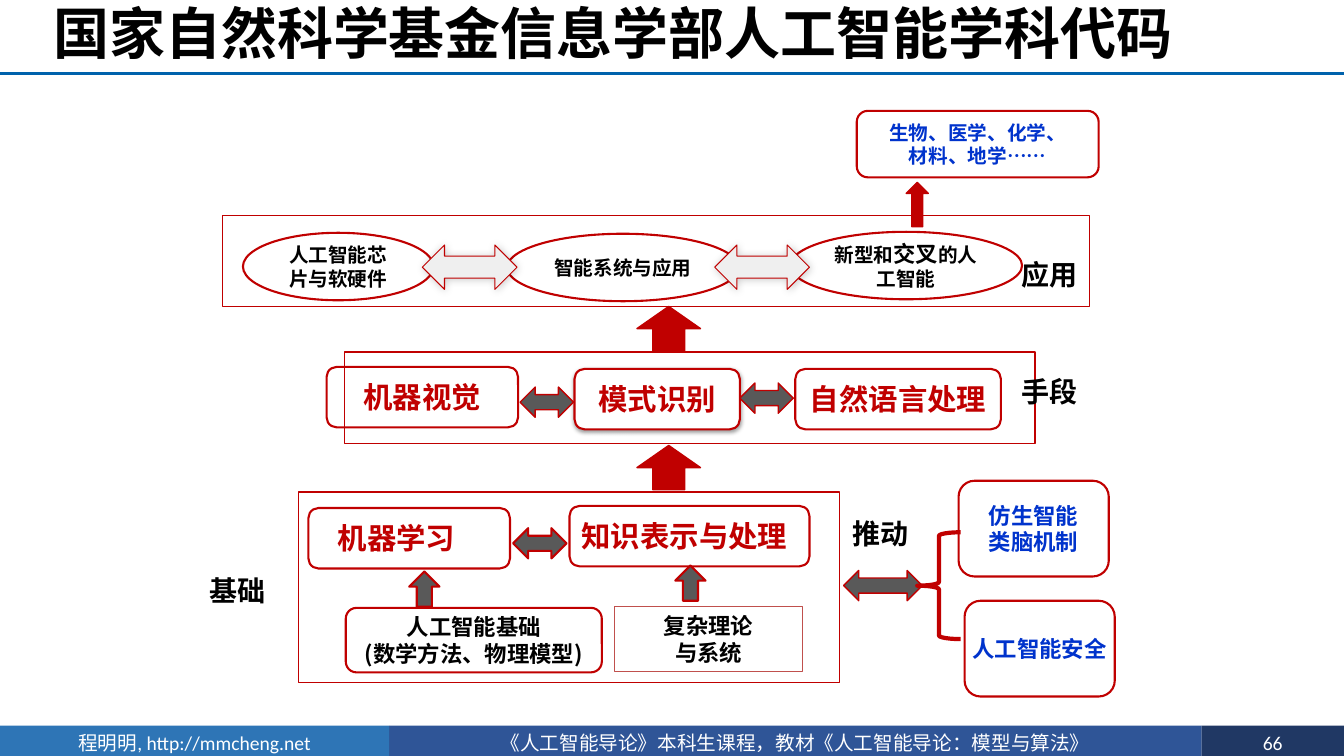
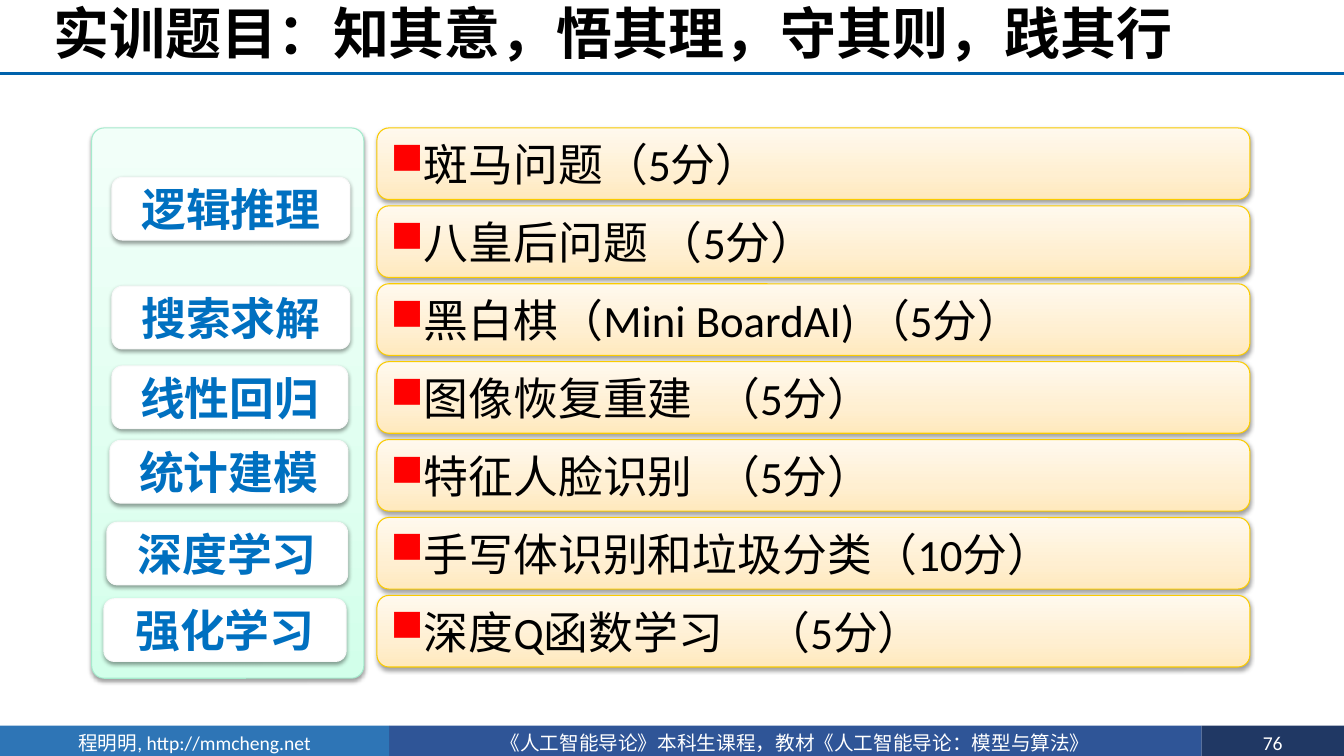
import pptx
import pptx.util
import pptx.dml.color
import pptx.enum.shapes
import pptx.enum.text
import pptx.oxml
import pptx.oxml.ns

Pt = pptx.util.Pt
SHAPE = pptx.enum.shapes.MSO_SHAPE
ALIGN = pptx.enum.text.PP_ALIGN
ANCHOR = pptx.enum.text.MSO_ANCHOR
NAMESPACE = pptx.oxml.ns.nsdecls("a")
CJK = "Noto Sans CJK SC"

COLORS = {
    "black": "000000", "white": "FFFFFF", "rule": "0062AC", "author": "2E75B6",
    "course": "2F5597", "number": "203864", "red": "C00000", "blue": "0033CC",
    "gray": "595959", "light": "EFEFEF", "theory": "C0504D", "bullet": "FF0000",
    "topic": "0070C0", "topic line": "F9F9F9", "row line": "FACB00", "panel line": "A5EBCD",
}
ROW_GRADIENT = [(0, "FFE9BD"), (35, "FFEFD1"), (100, "FFF9EE")]
PANEL_GRADIENT = [(0, "D2FFEA"), (35, "DFFFF0"), (100, "F2FFF9")]
# Shadow: opacity %, blur, distance, direction
SOFT = (38, 3.1, 1.6, 90)
FAINT = (20, 6, 1, 45)

# Shared footer: colour, left, width, text (the page number fills the last one)
FOOTER = [
    ("course", 278, 580.3, "《人工智能导论》本科生课程，教材《人工智能导论：模型与算法》"),
    ("author", 0, 278, "程明明, http://mmcheng.net"),
    ("number", 858.3, 101.7, None),
]

# Slide 1: discipline map
MAP_TITLE = "国家自然科学基金信息学部人工智能学科代码"
FRAMES = [(246.2, 251.3, 493.2, 65.5), (159.1, 154.1, 619.2, 64.8), (213.1, 351.4, 386.6, 136.1)]
# Box, text lines, size, colour, extra right inset
CARDS = [
    ((247, 434.2, 182.9, 46.1), ["人工智能基础", "(数学方法、物理模型)"], 16, "black", 0),
    ((220.3, 362.9, 144, 43.2), ["机器学习"], 21, "red", 18),
    ((406.8, 361.4, 171.4, 43.2), ["知识表示与处理"], 21, "red", 7),
    ((233.3, 262.1, 136.8, 43.2), ["机器视觉"], 21, "red", 0),
    ((568.1, 263.5, 146.9, 43.2), ["自然语言处理"], 21, "red", 0),
    ((684.7, 343.4, 107.3, 68.4), ["仿生智能", "类脑机制"], 16, "blue", 0),
    ((689, 429.1, 107.3, 68.4), ["人工智能安全"], 16, "blue", 0),
    ((612, 79.2, 172.8, 47.5), ["生物、医学、化学、", "材料、地学……"], 14, "blue", 0),
]
PATTERN_CARD = ((410.4, 263.5, 118.1, 43.2), ["模式识别"])
THEORY_CARD = ((439.2, 433.4, 133.9, 46.1), ["复杂理论", "与系统"])
APPLICATIONS = [
    ((173.5, 166.3, 136.1, 48.2), ["人工智能芯片与软硬件"]),
    ((362.2, 167, 165.6, 48.2), ["智能系统与应用"]),
    ((564.5, 165.6, 165.6, 48.2), [[("新型和", 14), ("交叉", 16), ("的人工智能", 14)]]),
]
# Kind, fill, line width, shadow, boxes
ARROWS = [
    (SHAPE.LEFT_RIGHT_ARROW, "gray", 1.5, None, [(366.5, 377.3, 38.2, 21.6)]),
    (SHAPE.LEFT_RIGHT_ARROW, "gray", 1, None, [
        (602.6, 407.5, 56.2, 21.6), (528.5, 273.6, 38.2, 21.6), (371.5, 276.5, 38.2, 21.6)]),
    (SHAPE.UP_ARROW, "gray", 1.5, None, [(292.3, 408.2, 21.6, 25.2), (482.4, 403.9, 21.6, 25.2)]),
    (SHAPE.UP_ARROW, "red", 1, None, [
        (647.3, 130.3, 15.8, 31.7), (455, 318.2, 45.4, 31.7), (455, 218.9, 45.4, 31.7)]),
    (SHAPE.LEFT_RIGHT_ARROW, "light", 0.75, FAINT, [
        (301.7, 175, 67.7, 31.7), (510.5, 175, 67.7, 31.7)]),
]
BRACE = (655.2, 380.2, 31, 76.3)
LABELS = [("基础", 142.6, 406.1), ("推动", 601.9, 365), ("手段", 722.2, 263.5), ("应用", 722.2, 180)]

# Slide 2: practice topics
TOPICS_TITLE = "实训题目：知其意，悟其理，守其则，践其行"
PANEL = (65.5, 91.4, 194.4, 393.1)
# Topic, left, top, width
TOPICS = [
    ("逻辑推理", 80, 126.7, 170), ("搜索求解", 80, 204.5, 170), ("线性回归", 80, 261.4, 168.5),
    ("统计建模", 78.5, 314.6, 170), ("深度学习", 76.3, 373, 172), ("强化学习", 74.2, 427.7, 173),
]
TOPIC_HEIGHT = 44.8
# Exercise, tab stop for the score where there is one
EXERCISES = [
    ("斑马问题（5分）", None), ("八皇后问题 （5分）", None),
    ("黑白棋（Mini BoardAI) （5分）", None), ("图像恢复重建\t（5分）", 232),
    ("特征人脸识别\t（5分）", 232), ("手写体识别和垃圾分类（10分）", None),
    ("深度Q函数学习\t（5分）", 268),
]
ROW_LEFT, ROW_TOP, ROW_WIDTH, ROW_HEIGHT, ROW_PITCH = 269.3, 91.4, 623.5, 51.1, 55.65


def color(name):
    return pptx.dml.color.RGBColor.from_string(COLORS[name])


def element(xml):
    """Parse one drawing element; the first tag name gets the namespace."""
    tag, rest = xml.split(" ", 1)
    return pptx.oxml.parse_xml(f"{tag} {NAMESPACE} {rest}")


def add_shadow(shape, opacity, blur, distance, direction):
    effects = element(
        f'<a:effectLst ><a:outerShdw blurRad="{Pt(blur)}" dist="{Pt(distance)}" '
        f'dir="{direction * 60000}" algn="t" rotWithShape="0"><a:srgbClr val="{COLORS["black"]}">'
        f'<a:alpha val="{opacity * 1000}"/></a:srgbClr></a:outerShdw></a:effectLst>')
    empty = shape._element.spPr.find(pptx.oxml.ns.qn("a:effectLst"))
    empty.getparent().replace(empty, effects)


def add_gradient(shape, stops):
    shape.fill.background()
    stop_xml = "".join(f'<a:gs pos="{position * 1000}"><a:srgbClr val="{value}"/></a:gs>'
                       for position, value in stops)
    gradient = element(f'<a:gradFill rotWithShape="1"><a:gsLst>{stop_xml}</a:gsLst>'
                       '<a:lin ang="16200000" scaled="0"/></a:gradFill>')
    plain = shape._element.spPr.find(pptx.oxml.ns.qn("a:noFill"))
    plain.getparent().replace(plain, gradient)


def add_shape(slide, kind, box, fill=None, line=None, width=1.5, shadow=None):
    shape = slide.shapes.add_shape(kind, *map(Pt, box))
    shape.shadow.inherit = False
    if isinstance(fill, list):
        add_gradient(shape, fill)
    elif fill:
        shape.fill.solid()
        shape.fill.fore_color.rgb = color(fill)
    else:
        shape.fill.background()
    if line:
        shape.line.color.rgb = color(line)
        shape.line.width = Pt(width)
    else:
        shape.line.fill.background()
    if shadow:
        add_shadow(shape, *shadow)
    return shape


def add_text(shape, lines, size, ink="black", bold=True, font=CJK, align=ALIGN.CENTER,
             wrap=False, insets=(7.2, 0, 7.2, 0), spacing=None):
    """Fill a shape; a line is a string or a list of (text, size) runs."""
    frame = shape.text_frame
    frame_format = {"word_wrap": wrap, "vertical_anchor": ANCHOR.MIDDLE}
    for side, inset in zip(("left", "top", "right", "bottom"), insets):
        frame_format[f"margin_{side}"] = Pt(inset)
    for name, value in frame_format.items():
        setattr(frame, name, value)
    for index, line in enumerate(lines):
        paragraph = frame.paragraphs[0] if index == 0 else frame.add_paragraph()
        paragraph.alignment = align
        if spacing:
            paragraph.line_spacing = spacing
        for text, run_size in [(line, size)] if isinstance(line, str) else line:
            run = paragraph.add_run()
            run.text = text
            for name, value in {"size": Pt(run_size), "bold": bold, "name": font}.items():
                setattr(run.font, name, value)
            run.font.color.rgb = color(ink)
            latin = run._r.rPr.find(pptx.oxml.ns.qn("a:latin"))
            latin.addnext(element(f'<a:ea typeface="{CJK}"/>'))


def add_label(slide, box, text, size, **text_format):
    add_text(slide.shapes.add_textbox(*map(Pt, box)), [text], size, align=ALIGN.LEFT, **text_format)


def add_page(presentation, title, number):
    """New slide with the shared footer, rule and title."""
    slide = presentation.slides.add_slide(presentation.slide_layouts[6])
    for fill, left, width, text in FOOTER:
        band = add_shape(slide, SHAPE.RECTANGLE, (left, 518.4, width, 24.5), fill)
        add_text(band, [text or str(number)], 14, "white", bold=False, font="Calibri", wrap=True)
    rule = slide.shapes.add_connector(
        pptx.enum.shapes.MSO_CONNECTOR.STRAIGHT, Pt(0), Pt(52.6), Pt(960), Pt(52.6))
    rule.line.color.rgb = color("rule")
    rule.line.width = Pt(2)
    rule._element.spPr.append(element("<a:effectLst />"))
    add_label(slide, (31, 0, 929, 52.6), title, 40, font="Calibri", wrap=True, spacing=0.9)
    return slide


def build_map(presentation):
    slide = add_page(presentation, MAP_TITLE, 66)
    for box in FRAMES:
        add_shape(slide, SHAPE.RECTANGLE, box, line="red", width=1)
    # Cards
    for box, lines, size, ink, extra in CARDS:
        card = add_shape(slide, SHAPE.ROUNDED_RECTANGLE, box, line="red")
        add_text(card, lines, size, ink, insets=(7.2, 0, 7.2 + extra, 0))
    box, lines = PATTERN_CARD
    card = add_shape(slide, SHAPE.ROUNDED_RECTANGLE, box, "white", "red", shadow=SOFT)
    add_text(card, lines, 21, "red", font="Times New Roman")
    box, lines = THEORY_CARD
    add_text(add_shape(slide, SHAPE.RECTANGLE, box, line="theory", width=0.75), lines, 16)
    for box, lines in APPLICATIONS:
        add_text(add_shape(slide, SHAPE.OVAL, box, line="red"), lines, 14, wrap=True,
                 insets=(7.2, 3.6, 7.2, 3.6))
    # Arrows and brace
    for kind, fill, width, shadow, boxes in ARROWS:
        for box in boxes:
            add_shape(slide, kind, box, fill, "red", width, shadow)
    add_shape(slide, SHAPE.LEFT_BRACE, BRACE, line="red", width=3)
    # Layer names
    for text, left, top in LABELS:
        add_label(slide, (left, top, 70.6, 31.5), text, 20, wrap=True)


def build_topics(presentation):
    slide = add_page(presentation, TOPICS_TITLE, 76)
    panel = add_shape(slide, SHAPE.ROUNDED_RECTANGLE, PANEL, PANEL_GRADIENT, "panel line", 0.75, SOFT)
    panel.adjustments[0] = 0.046
    for text, left, top, width in TOPICS:
        topic = add_shape(slide, SHAPE.ROUNDED_RECTANGLE, (left, top, width, TOPIC_HEIGHT),
                          "white", "topic line", 0.75, SOFT)
        add_text(topic, [text], 32, "topic", font="Times New Roman")
    # Exercise rows with square bullets
    for index, (text, tab) in enumerate(EXERCISES):
        box = (ROW_LEFT, ROW_TOP + index * ROW_PITCH, ROW_WIDTH, ROW_HEIGHT)
        row = add_shape(slide, SHAPE.ROUNDED_RECTANGLE, box, ROW_GRADIENT, "row line", 0.75, SOFT)
        properties = row.text_frame.paragraphs[0]._p.get_or_add_pPr()
        properties.append(element(f'<a:buClr ><a:srgbClr val="{COLORS["bullet"]}"/></a:buClr>'))
        properties.append(element('<a:buChar char="■"/>'))
        if tab:
            properties.append(element(f'<a:tabLst ><a:tab pos="{Pt(tab)}" algn="l"/></a:tabLst>'))
        add_text(row, [text], 32, bold=False, font="Calibri", align=ALIGN.LEFT, wrap=True)


def main():
    presentation = pptx.Presentation()
    presentation.slide_width, presentation.slide_height = Pt(960), Pt(540)
    build_map(presentation)
    build_topics(presentation)
    presentation.save("out.pptx")


if __name__ == "__main__":
    main()
